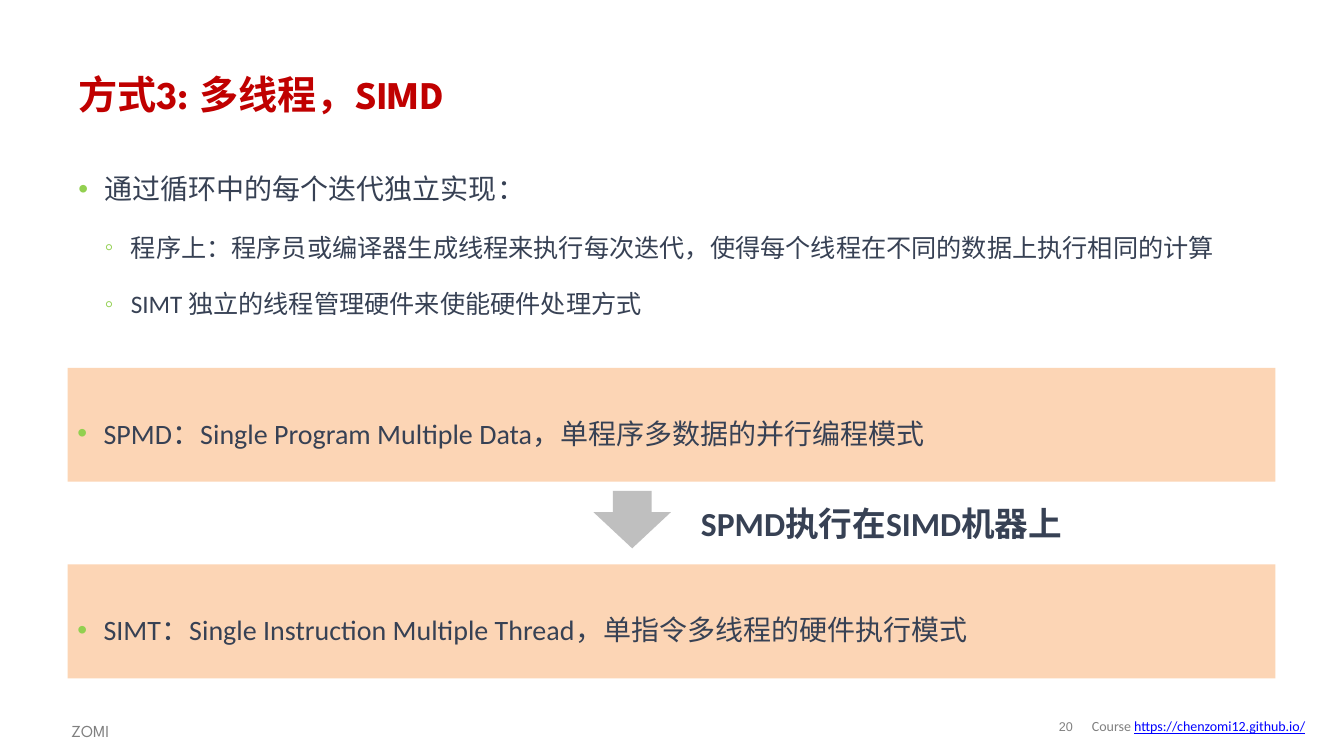
import pptx
import pptx.dml.color
import pptx.enum.shapes
import pptx.enum.text
import pptx.oxml.ns
import pptx.util
from dataclasses import dataclass
from lxml import etree

Inches = pptx.util.Inches
Pt = pptx.util.Pt
ANCHOR = pptx.enum.text.MSO_ANCHOR
ALIGN = pptx.enum.text.PP_ALIGN
SHAPE = pptx.enum.shapes.MSO_SHAPE


@dataclass(frozen=True)
class Theme:
    heading_font: str = "League Spartan"
    body_font: str = "Calibri"
    number_font: str = "Arial"
    title: str = "C00000"
    ink: str = "374154"
    muted: str = "808080"
    link: str = "0000FF"
    bullet: str = "92D050"
    band: str = "FCD5B5"
    arrow: str = "BFBFBF"
    title_size: int = 28
    callout_size: int = 24
    point_size: int = 20
    detail_size: int = 18
    author_size: int = 12
    course_size: int = 10
    number_size: int = 9


THEME = Theme()

TITLE = "方式3: 多线程，SIMD"
POINTS = [
    (0, "通过循环中的每个迭代独立实现："),
    (1, "程序上：程序员或编译器生成线程来执行每次迭代，使得每个线程在不同的数据上执行相同的计算"),
    (1, "SIMT 独立的线程管理硬件来使能硬件处理方式"),
]
MODELS = [
    "SPMD：Single Program Multiple Data，单程序多数据的并行编程模式",
    "SIMT：Single Instruction Multiple Thread，单指令多线程的硬件执行模式",
]
CALLOUT = "SPMD执行在SIMD机器上"
AUTHOR = "ZOMI"
PAGE_NUMBER = "20"
COURSE_LABEL = "Course "
COURSE_ADDRESS = "https://chenzomi12.github.io/"

LEFT, WIDTH = 0.68, 11.99
BAND_LEFT, BAND_TOP, BAND_HEIGHT, BAND_STEP = 0.67, 3.65, 1.13, 1.95
INDENT = 0.26
BULLETS = "•◦"


def color(value):
    return pptx.dml.color.RGBColor.from_string(value)


def add_run(paragraph, text, size, font, ink, bold=False, underline=False):
    run = paragraph.add_run()
    run.text = text
    run.font.size = Pt(size)
    run.font.name = font
    run.font.color.rgb = color(ink)
    run.font.bold = bold
    run.font.underline = underline


def add_point(paragraph, text, level=0):
    properties = paragraph._p.get_or_add_pPr()
    properties.set("marL", str(Inches(INDENT * (level + 1))))
    properties.set("indent", str(-Inches(INDENT)))
    qn = pptx.oxml.ns.qn
    bullet_color = etree.SubElement(properties, qn("a:buClr"))
    etree.SubElement(bullet_color, qn("a:srgbClr"), val=THEME.bullet)
    etree.SubElement(properties, qn("a:buFont"), typeface=THEME.number_font)
    etree.SubElement(properties, qn("a:buChar"), char=BULLETS[level])
    paragraph.level = level
    paragraph.alignment = ALIGN.LEFT
    paragraph.line_spacing = 1.5
    paragraph.space_after = Pt(8)
    size = THEME.detail_size if level else THEME.point_size
    add_run(paragraph, text, size, THEME.body_font, THEME.ink)


def add_text(slide, left, top, width, height, anchor=ANCHOR.TOP, wrap=True):
    box = slide.shapes.add_textbox(*map(Inches, (left, top, width, height)))
    box.text_frame.word_wrap = wrap
    box.text_frame.vertical_anchor = anchor
    return box.text_frame


def add_block(slide, kind, left, top, width, height, fill):
    block = slide.shapes.add_shape(kind, *map(Inches, (left, top, width, height)))
    block.shadow.inherit = False
    block.fill.solid()
    block.fill.fore_color.rgb = color(fill)
    block.line.fill.background()
    return block


def add_footer(slide):
    number = add_text(slide, 10.4, 7.06, 0.36, 0.31, ANCHOR.MIDDLE)
    number.margin_left = number.margin_right = 0
    number.margin_top = number.margin_bottom = 0
    number.paragraphs[0].alignment = ALIGN.CENTER
    number.paragraphs[0].line_spacing = 0.85
    add_run(number.paragraphs[0], PAGE_NUMBER, THEME.number_size,
            THEME.number_font, THEME.muted)

    author = add_text(slide, 0.61, 7.06, 0.8, 0.32).paragraphs[0]
    author.line_spacing = 1.2
    add_run(author, AUTHOR, THEME.author_size, THEME.heading_font, THEME.muted)

    course = add_text(slide, 10.74, 7.06, 2.46, 0.29, ANCHOR.MIDDLE).paragraphs[0]
    add_run(course, COURSE_LABEL, THEME.course_size, THEME.body_font, THEME.muted)
    add_run(course, COURSE_ADDRESS, THEME.course_size, THEME.body_font,
            THEME.link, underline=True)


def main():
    deck = pptx.Presentation()
    deck.slide_width, deck.slide_height = Inches(13.34), Inches(7.5)
    slide = deck.slides.add_slide(deck.slide_layouts[6])
    add_footer(slide)

    title = add_text(slide, LEFT, 0.61, WIDTH, 0.64, ANCHOR.MIDDLE)
    add_run(title.paragraphs[0], TITLE, THEME.title_size, THEME.heading_font,
            THEME.title, bold=True)

    body = add_text(slide, LEFT, 1.49, WIDTH, 1.83)
    for index, (level, text) in enumerate(POINTS):
        paragraph = body.add_paragraph() if index else body.paragraphs[0]
        add_point(paragraph, text, level)

    for index, model in enumerate(MODELS):
        band = add_block(slide, SHAPE.RECTANGLE, BAND_LEFT,
                         BAND_TOP + index * BAND_STEP, WIDTH, BAND_HEIGHT, THEME.band)
        band.text_frame.word_wrap = True
        band.text_frame.vertical_anchor = ANCHOR.MIDDLE
        add_point(band.text_frame.paragraphs[0], model)

    callout = add_text(slide, 6.86, 4.94, 4.1, 0.5, wrap=False).paragraphs[0]
    callout.space_after = Pt(8)
    add_run(callout, CALLOUT, THEME.callout_size, THEME.body_font, THEME.ink, bold=True)

    arrow = add_block(slide, SHAPE.DOWN_ARROW, 5.89, 4.87, 0.77, 0.57, THEME.arrow)
    arrow.adjustments[0] = 0.5
    arrow.adjustments[1] = 0.63

    deck.save("out.pptx")


if __name__ == "__main__":
    main()
